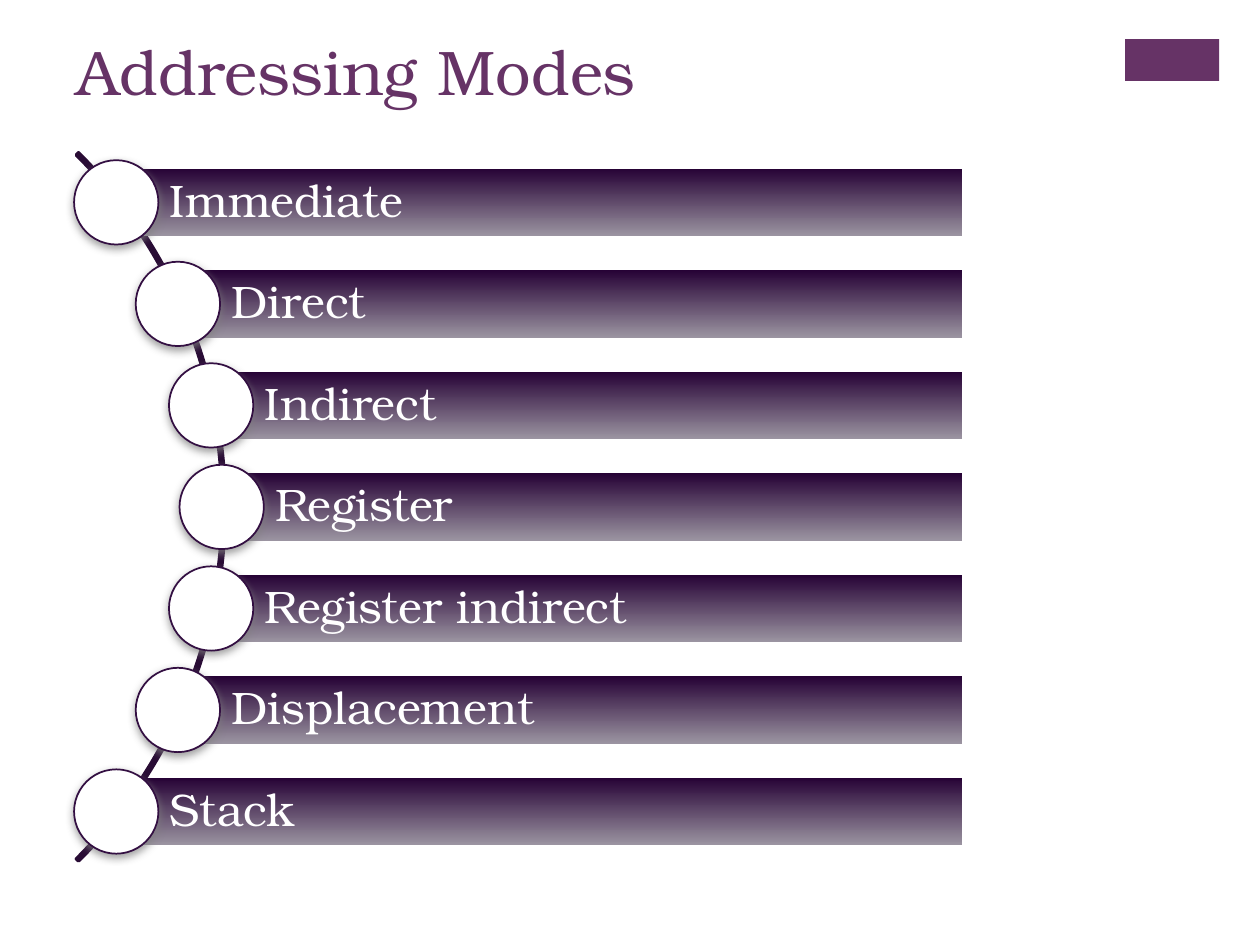
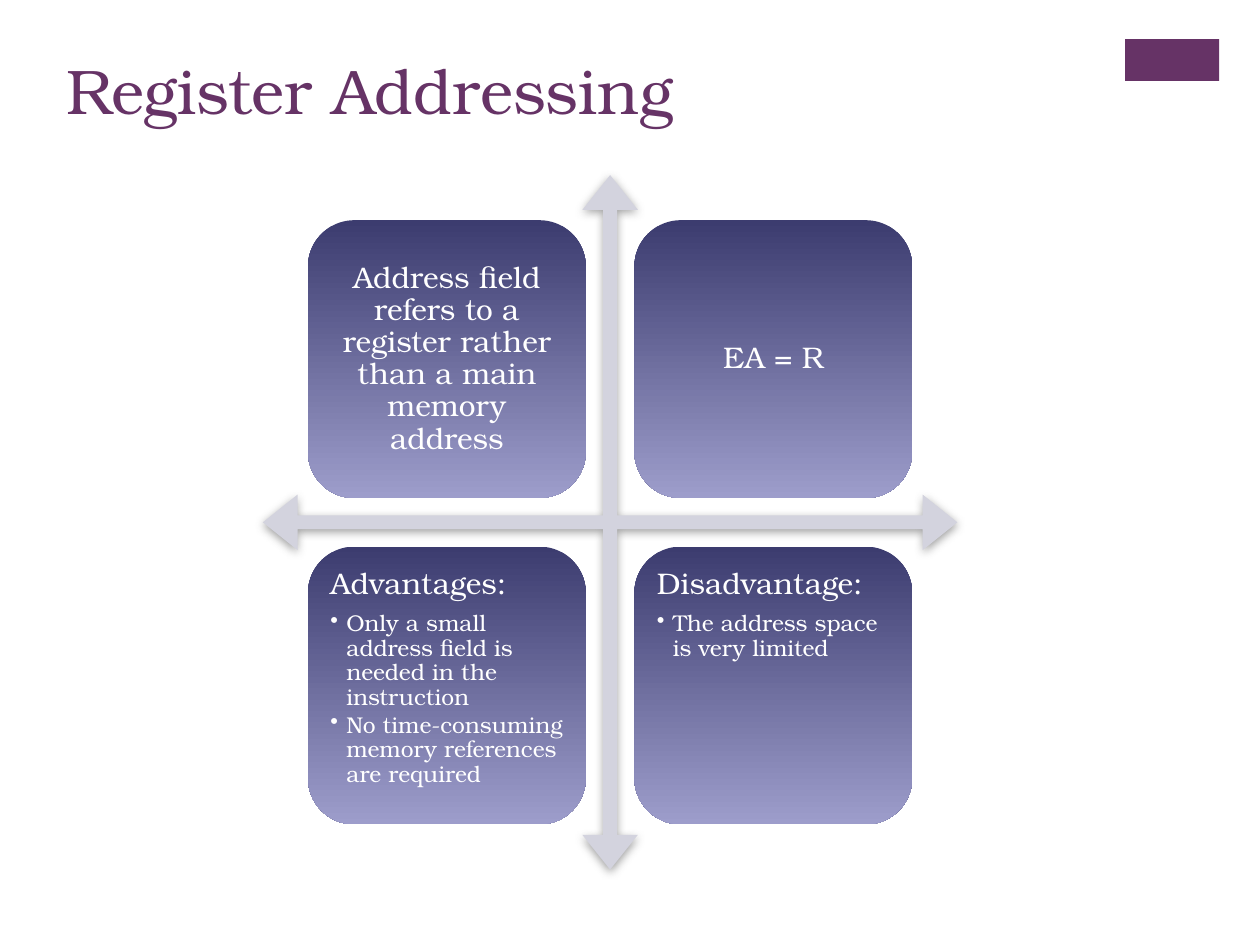
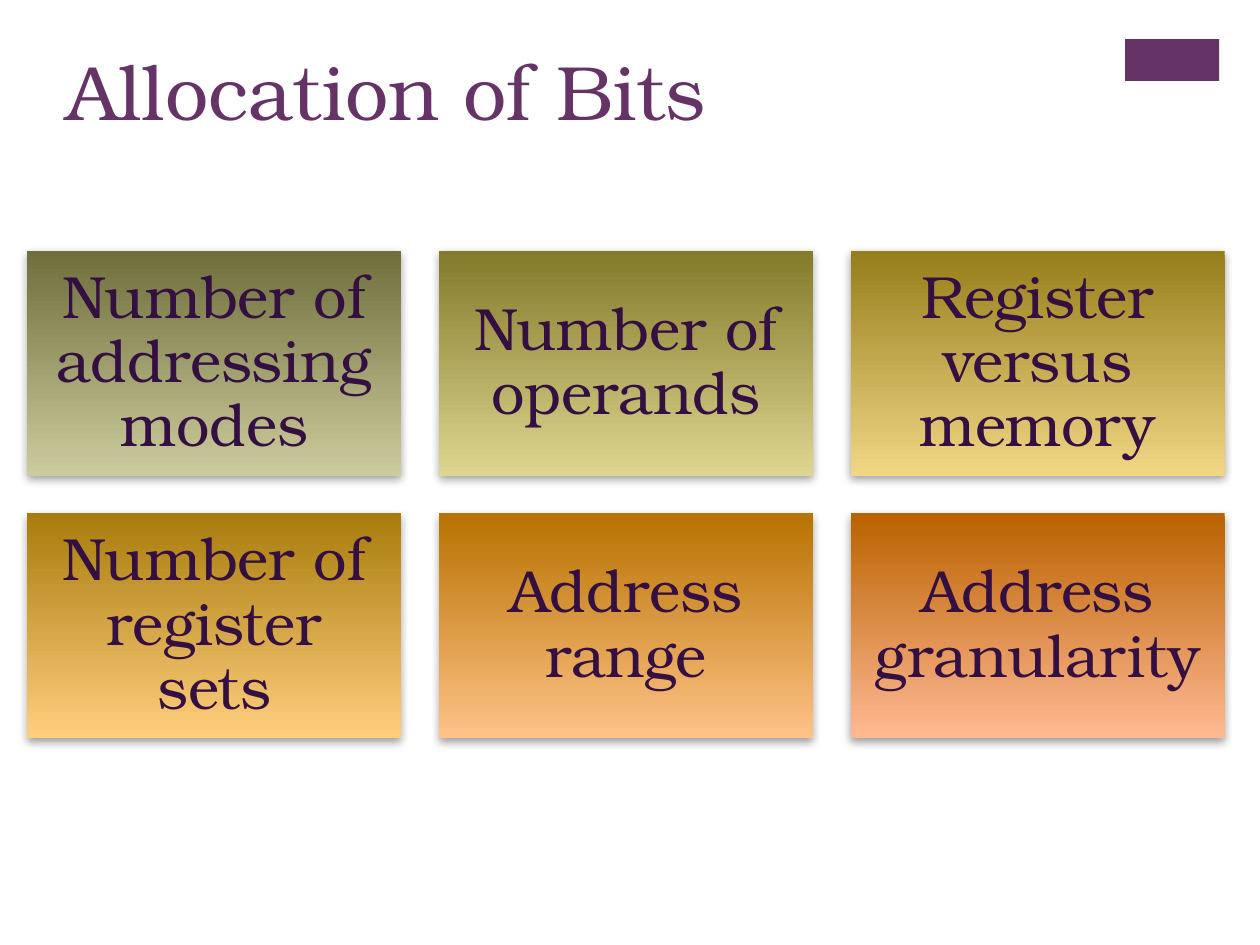
from dataclasses import dataclass
from math import sqrt

from lxml import etree
from pptx import Presentation
from pptx.dml.color import RGBColor
from pptx.enum import shapes, text
from pptx.oxml import ns
from pptx.util import Cm, Pt


@dataclass(frozen=True)
class Theme:
    font: str = "TeX Gyre Bonum"
    accent: str = "663366"
    dark: str = "330F42"
    arc: str = "290C35"
    white: str = "FFFFFF"
    arrow: str = "D3D3DE"
    shadow: str = "808080"
    bar: tuple = ("260235", "9B94A1")
    card: tuple = ("3C3C6F", "9D9DCB")
    title_size: int = 36
    large_title_size: int = 44
    bar_size: int = 26
    card_size: int = 17
    bullet_size: int = 13
    tile_size: int = 34


@dataclass(frozen=True)
class Box:
    left: float
    top: float
    width: float
    height: float

    def lengths(self):
        return Cm(self.left), Cm(self.top), Cm(self.width), Cm(self.height)


THEME = Theme()
SHAPE = shapes.MSO_SHAPE
MODES = ["Immediate", "Direct", "Indirect", "Register",
         "Register indirect", "Displacement", "Stack"]
CARDS = [
    ("Address field refers to a register rather than a main memory address", []),
    ("EA = R", []),
    ("Advantages:", ["Only a small address field is needed in the instruction",
                     "No time-consuming memory references are required"]),
    ("Disadvantage:", ["The address space is very limited"]),
]
TILES = [
    ("Number of addressing modes", ("6F6F3C", "CBCB9D")),
    ("Number of operands", ("837A2B", "DED590")),
    ("Register versus memory", ("967E1B", "F1D684")),
    ("Number of register sets", ("A87C0C", "FFCE7E")),
    ("Address range", ("B77200", "FFC288")),
    ("Address granularity", ("BA6200", "FFB993")),
]


def color(value):
    return RGBColor.from_string(value)


def add_shadow(shape):
    effects = shape.element.spPr.find(ns.qn("a:effectLst"))
    outer = etree.SubElement(effects, ns.qn("a:outerShdw"), blurRad=str(Pt(5)),
                             dist=str(Pt(2)), dir="5400000", rotWithShape="0")
    shade = etree.SubElement(outer, ns.qn("a:srgbClr"), val=THEME.shadow)
    etree.SubElement(shade, ns.qn("a:alpha"), val="75000")


def add_figure(slide, kind, box, fill=None, line=None, line_width=1, shadow=False):
    shape = slide.shapes.add_shape(kind, *box.lengths())
    shape.shadow.inherit = False
    if isinstance(fill, tuple):
        shape.fill.gradient()
        shape.fill.gradient_angle = 270
        for stop, position, value in zip(shape.fill.gradient_stops, (0, 1), fill):
            stop.position = position
            stop.color.rgb = color(value)
    elif fill:
        shape.fill.solid()
        shape.fill.fore_color.rgb = color(fill)
    else:
        shape.fill.background()
    if line:
        shape.line.color.rgb = color(line)
        shape.line.width = Pt(line_width)
    else:
        shape.line.fill.background()
    if shadow:
        add_shadow(shape)
    return shape


def prepare_frame(shape, inset, left_inset=None, anchor=text.MSO_ANCHOR.MIDDLE):
    frame = shape.text_frame
    frame.word_wrap = True
    frame.vertical_anchor = anchor
    frame.margin_left = Cm(inset if left_inset is None else left_inset)
    frame.margin_top = frame.margin_right = frame.margin_bottom = Cm(inset)
    return frame


def style_paragraph(paragraph, size, value, align=text.PP_ALIGN.LEFT):
    paragraph.alignment = align
    paragraph.line_spacing = 0.9
    paragraph.font.name = THEME.font
    paragraph.font.size = Pt(size)
    paragraph.font.color.rgb = color(value)


def add_bullet(frame, words):
    paragraph = frame.add_paragraph()
    paragraph.text = words
    paragraph.level = 1
    properties = paragraph._p.get_or_add_pPr()
    properties.set("marL", str(Cm(0.32)))
    properties.set("indent", str(Cm(-0.32)))
    etree.SubElement(properties, ns.qn("a:buChar"), char="•")
    style_paragraph(paragraph, THEME.bullet_size, THEME.white)
    paragraph.space_after = Pt(2)


def add_titled_slide(presentation, layout, words, box, size=THEME.title_size):
    slide = presentation.slides.add_slide(layout)
    title = slide.shapes.title
    title.left, title.top, title.width, title.height = box.lengths()
    frame = prepare_frame(title, 0.13, 0.25, text.MSO_ANCHOR.TOP)
    frame.text = words
    style_paragraph(frame.paragraphs[0], size, THEME.accent)
    frame.paragraphs[0].line_spacing = 1.0
    return slide


def add_corner_tab(slide, layout):
    tab = add_figure(slide, SHAPE.RECTANGLE, Box(22.68, 0.79, 1.9, 0.84), THEME.accent)
    layout.shapes.element.append(tab.element)


def add_mode_list(slide, box):
    circle, bar_height = 1.7, 1.36
    step = (box.height - circle) / (len(MODES) - 1)
    middle = box.top + box.height / 2
    radius, arc_size = 9.93, 20.19
    hub = box.left - 6.96
    arc = add_figure(slide, SHAPE.BLOCK_ARC,
                     Box(hub - 10.19, middle - arc_size / 2, arc_size, arc_size),
                     line=THEME.arc, line_width=2)
    for index, value in enumerate((189, 27, 0.003)):
        arc.adjustments[index] = value
    for index, mode in enumerate(MODES):
        rise = (index - (len(MODES) - 1) / 2) * step
        x, y = hub + sqrt(radius ** 2 - rise ** 2), middle + rise
        bar = add_figure(slide, SHAPE.RECTANGLE,
                         Box(x, y - bar_height / 2, box.left + box.width - x, bar_height),
                         THEME.bar)
        frame = prepare_frame(bar, 0.18, 1.08)
        frame.text = mode
        style_paragraph(frame.paragraphs[0], THEME.bar_size, THEME.white)
        add_figure(slide, SHAPE.OVAL,
                   Box(x - circle / 2, y - circle / 2, circle, circle),
                   THEME.white, THEME.dark, shadow=True)


def add_card_matrix(slide, box):
    arrow = add_figure(slide, SHAPE.QUAD_ARROW, box, THEME.arrow, shadow=True)
    for index, value in enumerate((0.02, 0.04, 0.05)):
        arrow.adjustments[index] = value
    margin, size = 0.065 * box.width, 0.4 * box.width
    step = box.width - 2 * margin - size
    for index, (heading, bullets) in enumerate(CARDS):
        row, column = divmod(index, 2)
        card = add_figure(slide, SHAPE.ROUNDED_RECTANGLE,
                          Box(box.left + margin + column * step,
                              box.top + margin + row * step, size, size), THEME.card)
        anchor = text.MSO_ANCHOR.TOP if bullets else text.MSO_ANCHOR.MIDDLE
        align = text.PP_ALIGN.LEFT if bullets else text.PP_ALIGN.CENTER
        frame = prepare_frame(card, 0.18, anchor=anchor)
        frame.text = heading
        style_paragraph(frame.paragraphs[0], THEME.card_size, THEME.white, align)
        if bullets:
            frame.paragraphs[0].space_after = Pt(6)
        for bullet in bullets:
            add_bullet(frame, bullet)


def add_tile_grid(slide, box):
    columns, rows, gap = 3, 2, 0.76
    width = (box.width - (columns - 1) * gap) / columns
    height = (box.height - (rows - 1) * gap) / rows
    for index, (words, fill) in enumerate(TILES):
        row, column = divmod(index, columns)
        tile = add_figure(slide, SHAPE.RECTANGLE,
                          Box(box.left + column * (width + gap),
                              box.top + row * (height + gap), width, height),
                          fill, shadow=True)
        frame = prepare_frame(tile, 0.36)
        frame.text = words
        style_paragraph(frame.paragraphs[0], THEME.tile_size, THEME.dark,
                        text.PP_ALIGN.CENTER)


def main():
    presentation = Presentation()
    presentation.slide_width, presentation.slide_height = Cm(25.4), Cm(19.05)
    layout = presentation.slide_layouts.get_by_name("Title Only")

    modes = add_titled_slide(presentation, layout, "Addressing Modes",
                             Box(1.3, 0.53, 20.98, 3.1))
    add_corner_tab(modes, layout)
    add_mode_list(modes, Box(1.5, 3.23, 17.9, 13.98))

    register = add_titled_slide(presentation, layout, "Register Addressing",
                                Box(1.09, 0.91, 20.98, 3.1))
    add_card_matrix(register, Box(5.3, 3.53, 14, 14))

    bits = add_titled_slide(presentation, layout, "Allocation of Bits",
                            Box(1.09, 0.74, 20.98, 3.1), THEME.large_title_size)
    add_tile_grid(bits, Box(0.55, 5.06, 24.14, 9.82))

    presentation.save("out.pptx")


if __name__ == "__main__":
    main()
